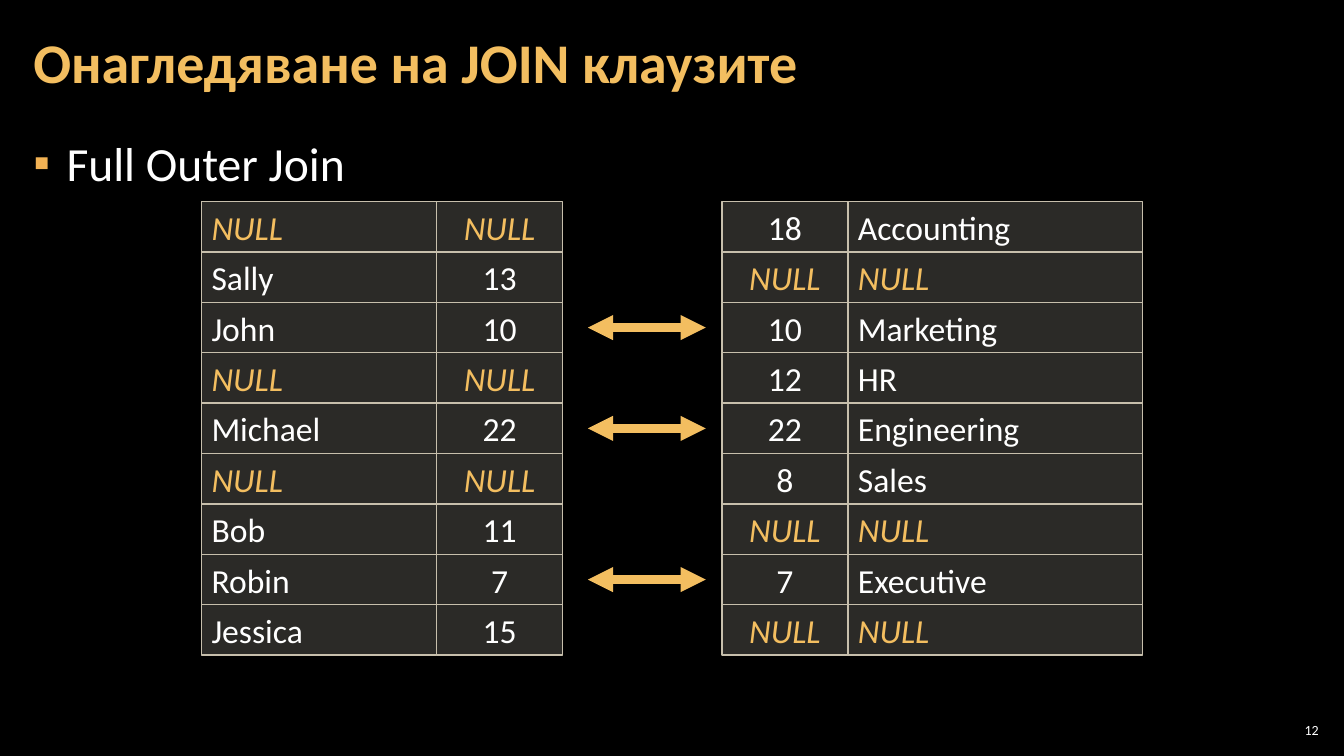
from itertools import accumulate

from lxml.etree import SubElement
from pptx import Presentation
from pptx.dml.color import RGBColor
from pptx.enum.shapes import MSO_CONNECTOR, MSO_SHAPE
from pptx.enum.text import MSO_ANCHOR, MSO_AUTO_SIZE, PP_ALIGN
from pptx.oxml.ns import qn
from pptx.util import Inches, Pt

FONT = "Calibri"
GOLD = "F3BE60"
WHITE = "FFFFFF"
BORDER = "C7BFAC"
CELL = "D9D5C7"
ROW_HEIGHT = 0.5
ROWS_TOP = 2
MATCHED_ROWS = (2, 4, 7)
EMPLOYEES = [
    ("NULL", "NULL"), ("Sally", "13"), ("John", "10"),
    ("NULL", "NULL"), ("Michael", "22"), ("NULL", "NULL"),
    ("Bob", "11"), ("Robin", "7"), ("Jessica", "15"),
]
DEPARTMENTS = [
    ("18", "Accounting"), ("NULL", "NULL"), ("10", "Marketing"),
    ("12", "HR"), ("22", "Engineering"), ("8", "Sales"),
    ("NULL", "NULL"), ("7", "Executive"), ("NULL", "NULL"),
]


def color(value):
    return RGBColor.from_string(value)


def add_element(parent, tag, **attributes):
    return SubElement(parent, qn(tag), **attributes)


def style_paragraph(paragraph, size, font_color, alignment=PP_ALIGN.LEFT, bold=False, italic=False):
    paragraph.alignment = alignment
    font = paragraph.font
    font.name = FONT
    font.size = Pt(size)
    font.bold = bold
    font.italic = italic
    font.color.rgb = color(font_color)


def place_text(shape, box, text, anchor, side_margin, end_margin=0.04):
    shape.left, shape.top, shape.width, shape.height = map(Inches, box)
    frame = shape.text_frame
    frame.word_wrap = True
    frame.auto_size = MSO_AUTO_SIZE.NONE
    frame.vertical_anchor = anchor
    frame.margin_left = frame.margin_right = Inches(side_margin)
    frame.margin_top = frame.margin_bottom = Inches(end_margin)
    frame.text = text
    return frame.paragraphs[0]


def fill_title(slide, box):
    paragraph = place_text(slide.shapes.title, box, "Онагледяване на JOIN клаузите", MSO_ANCHOR.MIDDLE, 0.12)
    paragraph.line_spacing = 0.9
    style_paragraph(paragraph, 40, GOLD, bold=True)


def fill_body(slide, box):
    paragraph = place_text(slide.placeholders[1], box, "Full Outer Join", MSO_ANCHOR.TOP, 0.12)
    paragraph.line_spacing = 1.05
    paragraph.space_before = Pt(0)
    paragraph.space_after = Pt(6)
    properties = paragraph._p.get_or_add_pPr()
    properties.set("marL", str(Inches(0.33)))
    properties.set("indent", str(Inches(-0.33)))
    bullet_color = add_element(properties, "a:buClr")
    add_element(bullet_color, "a:srgbClr", val="F2B254")
    add_element(properties, "a:buChar", char="▪")
    style_paragraph(paragraph, 34, WHITE)


def add_page_number(slide, box):
    text_box = slide.shapes.add_textbox(*map(Inches, box))
    paragraph = place_text(text_box, box, "12", MSO_ANCHOR.MIDDLE, 0.04)
    style_paragraph(paragraph, 10, WHITE, PP_ALIGN.RIGHT)


def add_cell(slide, box, text, alignment):
    cell = slide.shapes.add_shape(MSO_SHAPE.RECTANGLE, *map(Inches, box))
    cell.shadow.inherit = False
    cell.fill.solid()
    cell.fill.fore_color.rgb = color(CELL)
    fill_color = cell._element.spPr.find(qn("a:solidFill")).find(qn("a:srgbClr"))
    add_element(fill_color, "a:alpha", val="20000")
    cell.line.color.rgb = color(BORDER)
    cell.line.width = Pt(1)
    is_null = text == "NULL"
    paragraph = place_text(cell, box, text, MSO_ANCHOR.MIDDLE, 0.1, 0.05)
    style_paragraph(paragraph, 24, GOLD if is_null else WHITE, alignment, italic=is_null)


def add_join_rows(slide, left, top, widths, alignments, rows):
    lefts = list(accumulate(widths, initial=left))
    for index, values in enumerate(rows):
        row_top = top + index * ROW_HEIGHT
        for cell_left, width, text, alignment in zip(lefts, widths, values, alignments):
            add_cell(slide, (cell_left, row_top, width, ROW_HEIGHT), text, alignment)


def add_match_arrows(slide, left, top, width):
    for row in MATCHED_ROWS:
        middle = Inches(top + (row + 0.5) * ROW_HEIGHT)
        arrow = slide.shapes.add_connector(
            MSO_CONNECTOR.STRAIGHT, Inches(left), middle, Inches(left + width), middle
        )
        arrow.line.width = Pt(6)
        arrow.line.color.rgb = color(GOLD)
        line = arrow.line._get_or_add_ln()
        add_element(line, "a:headEnd", type="triangle")
        add_element(line, "a:tailEnd", type="triangle")
        add_element(arrow._element.spPr, "a:effectLst")


def build_join_slide(presentation):
    slide = presentation.slides.add_slide(presentation.slide_layouts[1])
    slide.background.fill.solid()
    slide.background.fill.fore_color.rgb = color("000000")
    fill_title(slide, (0.21, 0.04, 10.47, 1.21))
    fill_body(slide, (0.21, 1.26, 12.91, 6.09))
    add_page_number(slide, (12.65, 7.14, 0.47, 0.21))
    add_join_rows(slide, 2, ROWS_TOP, (2.33, 1.25), (PP_ALIGN.LEFT, PP_ALIGN.CENTER), EMPLOYEES)
    add_join_rows(slide, 7.16, ROWS_TOP, (1.25, 2.92), (PP_ALIGN.CENTER, PP_ALIGN.LEFT), DEPARTMENTS)
    add_match_arrows(slide, 5.83, ROWS_TOP, 1.17)


def main():
    presentation = Presentation()
    presentation.slide_width = Inches(13.33)
    presentation.slide_height = Inches(7.5)
    build_join_slide(presentation)
    presentation.save("out.pptx")


if __name__ == "__main__":
    main()
